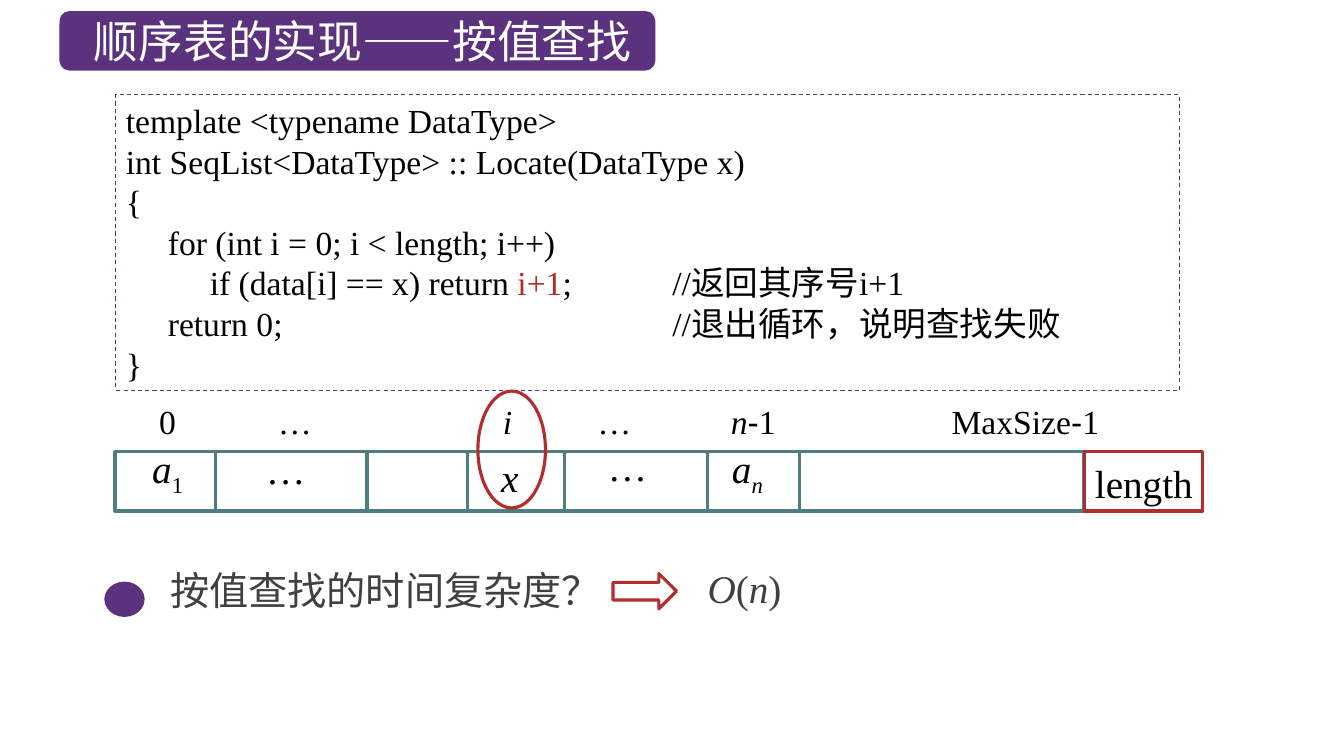
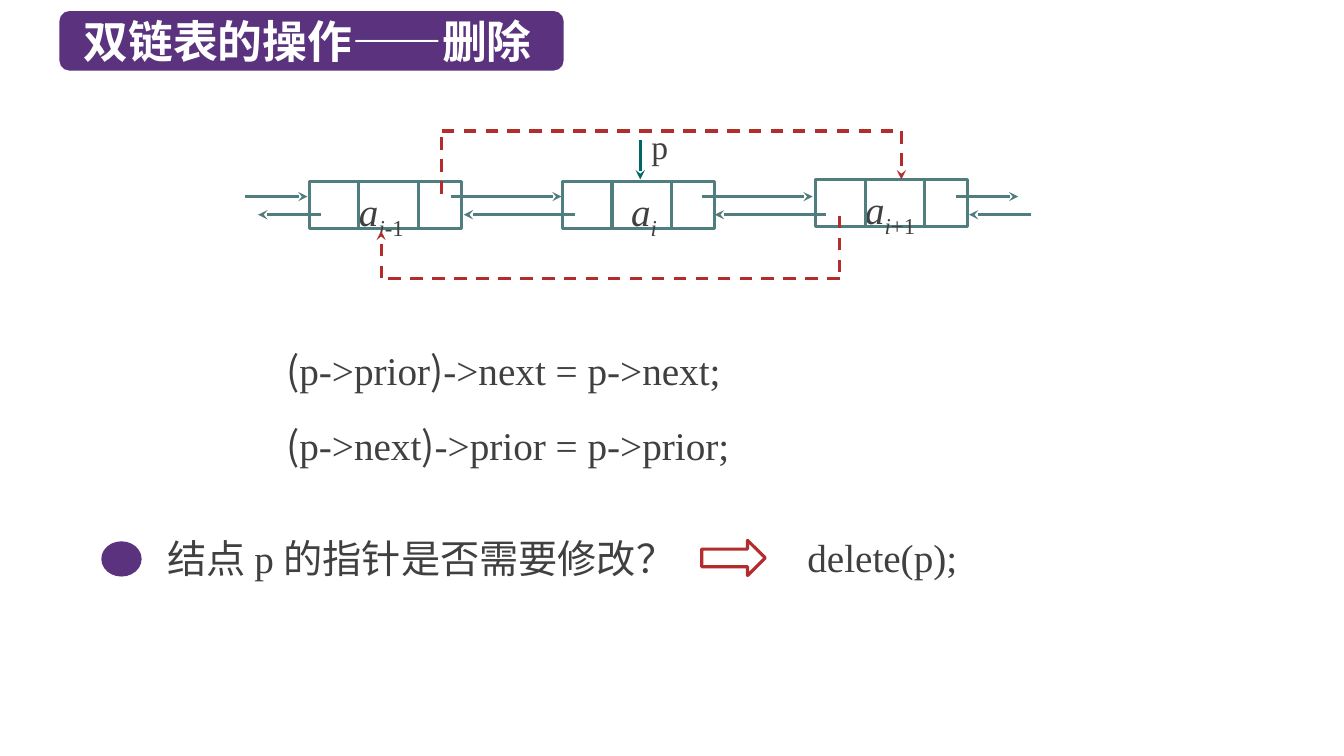
from itertools import pairwise
from math import cos, radians, sin

from pptx import Presentation
from pptx.dml.color import RGBColor
from pptx.enum.dml import MSO_LINE
from pptx.enum.shapes import MSO_CONNECTOR, MSO_SHAPE
from pptx.enum.text import MSO_ANCHOR, PP_ALIGN
from pptx.oxml.ns import qn
from pptx.util import Inches, Pt
from lxml.etree import SubElement

COLORS = {
    "purple": "5A327D",
    "red": "B42D2D",
    "teal": "507D7D",
    "deep_teal": "006666",
    "black": "000000",
    "gray": "404040",
    "white": "FFFFFF",
}
SERIF, CJK, SANS = "Times New Roman", "Noto Sans CJK SC", "Arial"

ITALIC = {"italic": True}
SUB = {"sub": True}
ITALIC_SUB = {"italic": True, "sub": True}


def rgb(name):
    return RGBColor.from_string(COLORS[name])


def format_run(r, size, color, font=SERIF, bold=False, italic=False, sub=False):
    r.font.size = Pt(size)
    r.font.color.rgb = rgb(color)
    r.font.name = font
    r.font.bold = bold
    r.font.italic = italic
    rpr = r._r.get_or_add_rPr()
    SubElement(rpr, qn("a:ea")).set("typeface", CJK)
    if sub:
        rpr.set("baseline", "-25000")


def add_tabs(p, stops):
    tabs = SubElement(p._p.get_or_add_pPr(), qn("a:tabLst"))
    for stop in stops:
        tab = SubElement(tabs, qn("a:tab"))
        tab.set("pos", str(Inches(stop)))
        tab.set("algn", "l")


def write(sp, lines, size=28, color="gray", insets=(0.1, 0.05, 0.1, 0.05),
          anchor=MSO_ANCHOR.MIDDLE, align=PP_ALIGN.LEFT, spacing=None,
          tabs=(), wrap=True, **style):
    """Fill a shape with lines; a line is a string or a list of (text, style) runs."""
    tf = sp.text_frame
    tf.word_wrap = wrap
    tf.vertical_anchor = anchor
    (tf.margin_left, tf.margin_top,
     tf.margin_right, tf.margin_bottom) = map(Inches, insets)
    for n, line in enumerate(lines):
        p = tf.add_paragraph() if n else tf.paragraphs[0]
        p.alignment = align
        if tabs:
            add_tabs(p, tabs)
        if spacing:
            p.line_spacing = spacing
        for text, extra in [(line, {})] if isinstance(line, str) else line:
            r = p.add_run()
            r.text = text
            format_run(r, **{"size": size, "color": color, **style, **extra})


def add_text(s, x, y, w, h, lines, **options):
    write(s.shapes.add_textbox(*map(Inches, (x, y, w, h))), lines, **options)


def paint(sp, fill=None, line=None, width=2.25):
    sp.shadow.inherit = False
    if fill:
        sp.fill.solid()
        sp.fill.fore_color.rgb = rgb(fill)
    else:
        sp.fill.background()
    if line:
        sp.line.color.rgb = rgb(line)
        sp.line.width = Pt(width)
    else:
        sp.line.fill.background()


def add_shape(s, kind, x, y, w, h, **look):
    sp = s.shapes.add_shape(kind, *map(Inches, (x, y, w, h)))
    paint(sp, **look)
    return sp


def add_polygon(s, points, fill):
    builder = s.shapes.build_freeform(*points[0], scale=Inches(1))
    builder.add_line_segments(points[1:], close=True)
    paint(builder.convert_to_shape(), fill=fill)


def add_line(s, start, end, color="teal", arrow=False, dashed=False):
    c = s.shapes.add_connector(MSO_CONNECTOR.STRAIGHT, *map(Inches, (*start, *end)))
    c.line.color.rgb = rgb(color)
    c.line.width = Pt(2.25)
    if dashed:
        c.line.dash_style = MSO_LINE.DASH
    if arrow:
        SubElement(c.line._get_or_add_ln(), qn("a:tailEnd")).set("type", "stealth")
    SubElement(c._element.spPr, qn("a:effectLst"))


def add_dashed_path(s, points):
    """Join the points with dashed segments, the last one with an arrowhead."""
    for start, end in pairwise(points):
        add_line(s, start, end, "red", arrow=end == points[-1], dashed=True)


def add_title(s, text, width, inset, bold=False):
    sp = add_shape(s, MSO_SHAPE.ROUNDED_RECTANGLE, 0.59, 0.11, width, 0.59,
                   fill="purple")
    write(sp, [text], size=32, color="white", font=CJK, bold=bold,
          insets=(inset, 0, 0, 0), wrap=False)


def add_clock(s, x, y):
    """Alarm clock, 0.51 wide, with its top left corner at (x, y)."""
    middle = x + 0.255
    ear = [(0.175 - 0.08 * cos(radians(a)), 0.08 + 0.08 * sin(radians(a)))
           for a in range(140, 331, 10)]
    legs = [(0.16, 0.47), (0.12, 0.41), (-0.12, 0.41), (-0.16, 0.47),
            (-0.14, 0.48), (-0.1, 0.43), (0.1, 0.43), (0.14, 0.48)]
    hands = [(-0.01, 0.09), (0.02, 0.09), (0.02, 0.21), (0.08, 0.21),
             (0.08, 0.24), (-0.01, 0.24)]

    def place(points, side=1):
        return [(middle + side * dx, y + dy) for dx, dy in points]

    add_polygon(s, place(legs), "purple")
    for side in (-1, 1):
        add_polygon(s, place(ear, side), "purple")
    add_shape(s, MSO_SHAPE.OVAL, middle - 0.2, y + 0.05, 0.4, 0.35, fill="purple")
    add_polygon(s, place(hands), "white")


def add_answer_arrow(s, x, y):
    add_shape(s, MSO_SHAPE.RIGHT_ARROW, x, y, 0.63, 0.35, line="red")


def add_node(s, x, y, label_inset, label):
    """Doubly linked node: prior, data and next fields."""
    sp = add_shape(s, MSO_SHAPE.RECTANGLE, x, y, 1.51, 0.47, line="teal")
    write(sp, [label], insets=(label_inset, 0.07, 0, 0), anchor=MSO_ANCHOR.TOP,
          spacing=0.9, wrap=False)
    for dx in (0.49, 1.08):
        add_line(s, (x + dx, y), (x + dx, y + 0.47))


def add_array(s):
    top, height = 4.48, 0.59
    add_text(s, 1.48, 3.93, 10.7, 0.5, [[
        ("0\t…\t", {}), ("i", ITALIC), ("\t…\t", {}), ("n", ITALIC),
        ("-", {"font": SANS}), ("1\tMaxSize", {}), ("-", {"font": SANS}), ("1", {}),
    ]], size=24, color="black", tabs=(1.18, 3.41, 4.35, 5.67, 7.86))
    add_shape(s, MSO_SHAPE.RECTANGLE, 1.14, top, 9.61, height, line="teal")
    for x in (2.14, 3.64, 4.64, 5.6, 7.02, 7.93):
        add_line(s, (x, top), (x, top + height))
    cells = [
        (1.51, 4.5, [("a", ITALIC), ("1", SUB)]),
        (2.64, 4.45, "…"),
        (4.97, 4.53, [("x", ITALIC)]),
        (6.03, 4.42, "…"),
        (7.26, 4.5, [("a", ITALIC), ("n", ITALIC_SUB)]),
    ]
    cell_style = {"color": "black", "spacing": Pt(30)}
    for x, y, label in cells:
        add_text(s, x, y, 0.57, 0.46, [label], insets=(0, 0.05, 0, 0.05), **cell_style)
    length = add_shape(s, MSO_SHAPE.RECTANGLE, 10.76, top, 1.17, height, line="red")
    write(length, ["length"], insets=(0, 0.12, 0, 0.05), align=PP_ALIGN.CENTER,
          **cell_style)
    add_shape(s, MSO_SHAPE.OVAL, 4.74, 3.88, 0.67, 1.16, line="red")


def build_locate_slide(s):
    add_title(s, "顺序表的实现——按值查找", 5.91, 0.31)
    code = add_shape(s, MSO_SHAPE.RECTANGLE, 1.15, 0.94, 10.55, 2.93,
                     line="purple", width=0.75)
    code.line.dash_style = MSO_LINE.DASH
    write(code, [
        "template <typename DataType>",
        "int SeqList<DataType> :: Locate(DataType x)",
        "{",
        "     for (int i = 0; i < length; i++)",
        [("          if (data[i] == x) return ", {}), ("i+1", {"color": "red"}),
         (";\t//返回其序号i+1", {})],
        "     return 0;\t//退出循环，说明查找失败",
        "}",
    ], size=24, color="black", anchor=MSO_ANCHOR.TOP, spacing=Pt(29), tabs=(5.42,))
    add_array(s)
    add_clock(s, 0.98, 5.72)
    add_text(s, 1.59, 5.65, 4.72, 0.49, ["按值查找的时间复杂度？"],
             font=CJK, spacing=Pt(28))
    add_answer_arrow(s, 6.08, 5.69)
    add_text(s, 6.92, 5.63, 0.95, 0.49,
             [[("O", ITALIC), ("(", {}), ("n", ITALIC), (")", {})]], spacing=Pt(28))


def build_delete_slide(s):
    add_title(s, "双链表的操作——删除", 5, 0.21, bold=True)
    a, i = ("a", ITALIC), ("i", ITALIC_SUB)
    add_node(s, 3.07, 1.8, 0.49, [a, i, ("-1", SUB)])
    add_node(s, 5.58, 1.8, 0.68, [a, i])
    add_node(s, 8.09, 1.78, 0.49, [a, i, ("+1", SUB)])

    next_links = [(2.43, 3.05), (4.47, 5.57), (6.96, 8.06), (9.48, 10.1)]
    prior_links = [(3.18, 2.56), (5.7, 4.6), (8.19, 7.09), (10.23, 9.61)]
    for y, links in ((1.95, next_links), (2.13, prior_links)):
        for start, end in links:
            add_line(s, (start, y), (end, y), arrow=True)

    add_line(s, (6.35, 1.39), (6.35, 1.78), "deep_teal", arrow=True)
    add_text(s, 6.46, 1.25, 0.27, 0.4, ["p"], size=24, insets=(0, 0, 0, 0))
    add_dashed_path(s, [(4.38, 1.92), (4.38, 1.3), (8.94, 1.3), (8.94, 1.78)])
    add_dashed_path(s, [(8.33, 2.14), (8.33, 2.76), (3.78, 2.76), (3.78, 2.29)])

    statements = [("p->prior", "->next = p->next;"), ("p->next", "->prior = p->prior;")]
    for n, (pointer, assignment) in enumerate(statements):
        add_text(s, 2.74, 3.38 + 0.75 * n, 7, 0.57, [[
            ("(", {"font": CJK}), (pointer, {}), (")", {"font": CJK}), (assignment, {}),
        ]])

    add_clock(s, 0.95, 5.32)
    add_text(s, 1.56, 5.25, 5.65, 0.57, ["结点 p 的指针是否需要修改？"])
    add_answer_arrow(s, 6.96, 5.36)
    add_text(s, 7.91, 5.24, 1.84, 0.57, ["delete(p);"])


def main():
    prs = Presentation()
    prs.slide_width, prs.slide_height = Inches(13.33), Inches(7.5)
    for build in (build_locate_slide, build_delete_slide):
        build(prs.slides.add_slide(prs.slide_layouts[6]))
    prs.save("out.pptx")


if __name__ == "__main__":
    main()
